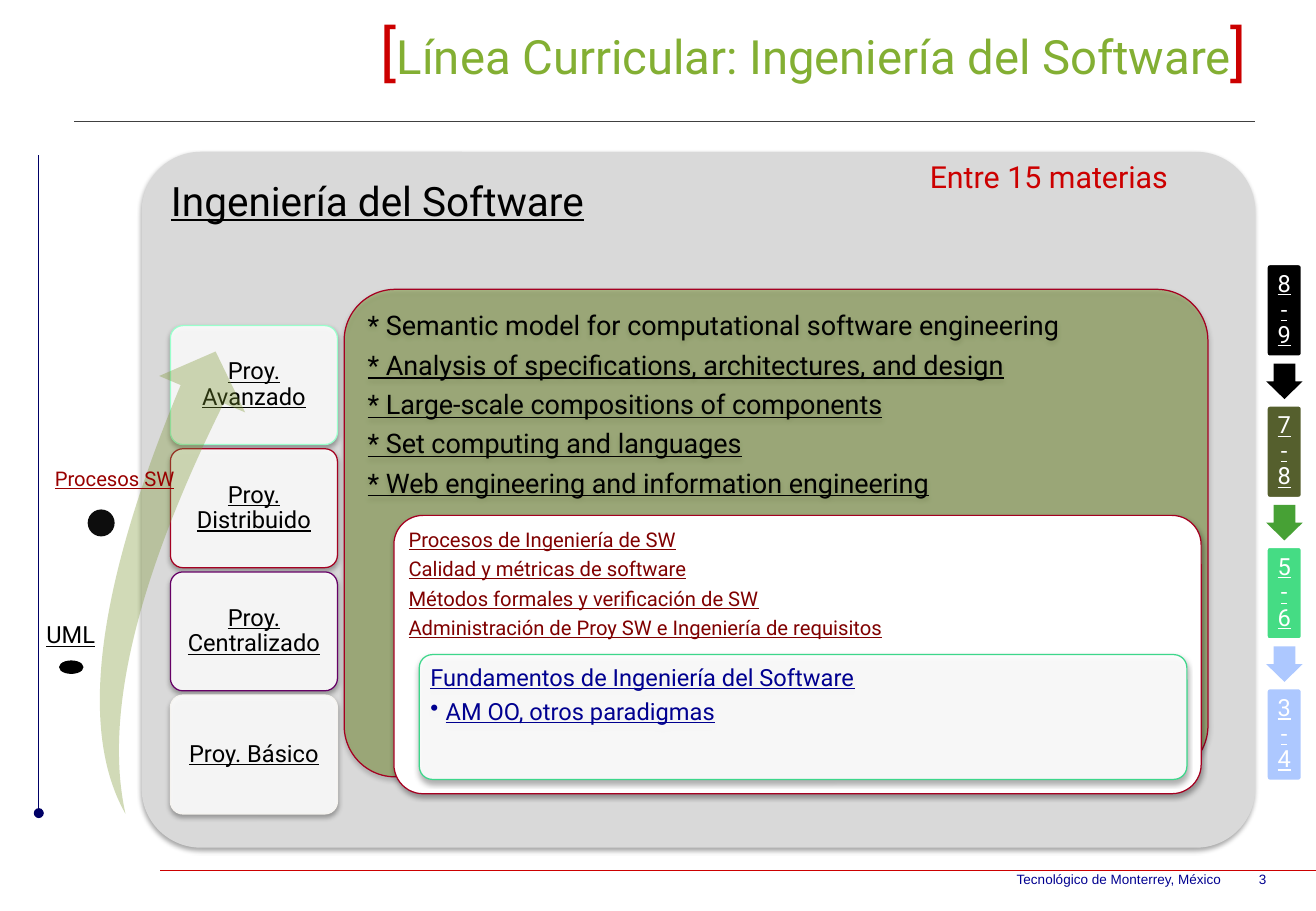
from lxml.etree import SubElement
from pptx import Presentation
from pptx.dml.color import RGBColor
from pptx.enum.shapes import MSO_CONNECTOR, MSO_SHAPE
from pptx.enum.text import MSO_ANCHOR, PP_ALIGN
from pptx.oxml.ns import qn
from pptx.util import Pt

COLORS = {
    "black": "000000", "near_black": "0D0D0D", "white": "FFFFFF", "panel": "D9D9D9",
    "red": "CC0000", "title": "83AF33", "olive": "7A952E", "crimson": "A50021",
    "mint": "99FFCC", "purple": "660066", "cream": "F5F3EF", "emerald": "3DD78B",
    "maroon": "800000", "process": "990000", "blue": "000090", "navy": "000066",
    "rule": "404040", "moss": "555F2D", "leaf": "47A135", "green": "45DC84",
    "sky": "ADC8FF",
}
LINK = {"size": Pt(14), "name": "Roboto", "underline": True}
CENTERED = {"alignment": PP_ALIGN.CENTER, "line_spacing": 0.9}
LEFT = {"alignment": PP_ALIGN.LEFT, "line_spacing": 0.9}
PROJECTS = [("Proy. Avanzado", "mint"), ("Proy. Distribuido", "crimson"),
            ("Proy. Centralizado", "purple"), ("Proy. Básico", "cream")]
SEMESTERS = [("8-9", "black", "black"), ("7-8", "moss", "leaf"),
             ("5-6", "green", "sky"), ("3-4", "sky", None)]
TOPICS = ["* Semantic model for computational software engineering",
          "* Analysis of specifications, architectures, and design",
          "* Large-scale compositions of components",
          "* Set computing and languages",
          "* Web engineering and information engineering"]
COURSES = ["Procesos de Ingeniería de SW", "Calidad y métricas de software",
           "Métodos formales y verificación de SW",
           "Administración de Proy SW e Ingeniería de requisitos"]


def rgb(name):
    return RGBColor.from_string(COLORS[name])


def apply(target, values):
    for name, value in values.items():
        setattr(target, name, value)


def set_frame(shape, insets, anchor=MSO_ANCHOR.TOP, wrap=True):
    sides = ("margin_left", "margin_top", "margin_right", "margin_bottom")
    apply(shape.text_frame, dict(zip(sides, map(Pt, insets))))
    apply(shape.text_frame, {"word_wrap": wrap, "vertical_anchor": anchor})


def write_lines(shape, lines, color, font, layout=LEFT):
    """Fill a shape with paragraphs that share one format."""
    frame = shape.text_frame
    for index, line in enumerate(lines):
        paragraph = frame.add_paragraph() if index else frame.paragraphs[0]
        apply(paragraph, layout)
        paragraph.space_after = Pt(round(font["size"].pt * 0.375, 2))
        run = paragraph.add_run()
        run.text = line
        apply(run.font, font)
        run.font.color.rgb = rgb(color)


def add_shape(slide, kind, box, fill, adjustments=(), alpha=100, line=None,
              line_width=0.75, shadow=False):
    shape = slide.shapes.add_shape(kind, *map(Pt, box))
    shape.shadow.inherit = False
    for index, value in enumerate(adjustments):
        shape.adjustments[index] = value
    shape.fill.solid()
    shape.fill.fore_color.rgb = rgb(fill)
    properties = shape._element.spPr
    if alpha < 100:
        color = properties.find(qn("a:solidFill")).find(qn("a:srgbClr"))
        SubElement(color, qn("a:alpha"), val=str(alpha * 1000))
    if line:
        shape.line.color.rgb = rgb(line)
        shape.line.width = Pt(line_width)
    else:
        shape.line.fill.background()
    if shadow:
        outer = SubElement(properties.find(qn("a:effectLst")), qn("a:outerShdw"),
                           blurRad=str(Pt(3.1)), dist=str(Pt(1.8)), dir="5400000",
                           rotWithShape="0")
        color = SubElement(outer, qn("a:srgbClr"), val=COLORS["black"])
        SubElement(color, qn("a:alpha"), val="35000")
    return shape


def add_panel(slide, box, fill, insets, radius=0.105, **options):
    panel = add_shape(slide, MSO_SHAPE.ROUNDED_RECTANGLE, box, fill, [radius],
                      shadow=True, **options)
    set_frame(panel, insets)
    return panel


def add_text(slide, box, insets, **options):
    text_box = slide.shapes.add_textbox(*map(Pt, box))
    set_frame(text_box, insets, **options)
    return text_box


def add_line(slide, ends, color, width, tail=None):
    line = slide.shapes.add_connector(MSO_CONNECTOR.STRAIGHT, *map(Pt, ends))
    line.line.color.rgb = rgb(color)
    line.line.width = Pt(width)
    if tail:
        SubElement(line.line._get_or_add_ln(), qn("a:tailEnd"), type=tail)
    SubElement(line._element.spPr, qn("a:effectLst"))


def add_frame_lines(slide):
    add_line(slide, (44, 72, 744, 72), "rule", 0.5)
    add_line(slide, (95, 516, 780, 516), "red", 0.25)
    add_line(slide, (23, 92, 23, 482), "navy", 0.75, "oval")


def add_footer(slide):
    footer = add_text(slide, (595.5, 514, 184.5, 17), (7.2, 3.6, 7.2, 3.6))
    properties = footer.text_frame.paragraphs[0]._p.get_or_add_pPr()
    tabs = SubElement(properties, qn("a:tabLst"))
    SubElement(tabs, qn("a:tab"), pos=str(Pt(143.5)), algn="l")
    write_lines(footer, ["Tecnológico de Monterrey, México\t3"], "blue",
                {"size": Pt(8), "name": "Arial"})


def add_title(slide):
    title = add_text(slide, (50, 0, 696, 60), (7.2, 3.6, 7.2, 3.6),
                     anchor=MSO_ANCHOR.MIDDLE)
    paragraph = title.text_frame.paragraphs[0]
    paragraph.alignment = PP_ALIGN.RIGHT
    for text, size, color in [("[", 36, "red"),
                              ("Línea Curricular: Ingeniería del Software", 28, "title"),
                              ("]", 36, "red")]:
        run = paragraph.add_run()
        run.text = text
        apply(run.font, {"size": Pt(size), "name": "Roboto"})
        run.font.color.rgb = rgb(color)


def add_projects(slide):
    for index, (name, line) in enumerate(PROJECTS):
        project = add_panel(slide, (101, 193 + 73 * index, 99, 70.5), "white",
                            [4.3] * 4, alpha=90, line=line)
        project.text_frame.vertical_anchor = MSO_ANCHOR.MIDDLE
        write_lines(project, [name], "black", LINK, CENTERED)


def add_nested_panels(slide):
    topics = add_panel(slide, (204, 171.5, 512, 289), "olive", [5] * 4,
                       alpha=46, line="crimson")
    topic_font = {**LINK, "size": Pt(16)}
    write_lines(topics, TOPICS, "black", topic_font)
    topics.text_frame.paragraphs[0].runs[0].font.underline = False

    courses = add_panel(slide, (233.5, 305.5, 478.5, 165), "white", [3.6] * 4,
                        line="crimson")
    write_lines(courses, COURSES, "maroon", {**LINK, "size": Pt(12)})

    basics = add_panel(slide, (248.5, 388, 455, 74), "white", [4.3] * 4,
                       alpha=90, line="emerald")
    write_lines(basics, ["Fundamentos de Ingeniería del Software",
                         "AM OO, otros paradigmas"], "blue", LINK)
    bullet = basics.text_frame.paragraphs[1]
    properties = bullet._p.get_or_add_pPr()
    apply_indent = {"lvl": "1", "marL": str(Pt(9)), "indent": str(Pt(-9))}
    for name, value in apply_indent.items():
        properties.set(name, value)
    SubElement(properties, qn("a:buChar"), char="•")
    bullet.space_after = Pt(2)


def add_growth_arrow(slide):
    swoosh = add_shape(slide, MSO_SHAPE.SWOOSH_ARROW, (-41, 285, 265, 110), "olive",
                       [0.25, 0.25], alpha=34)
    swoosh.rotation = 299.4
    for name, size, color, text_box, inset, dot, dot_color in [
            ("UML", 14, "black", (22.5, 369.5, 67, 29), 5, (35, 391.5, 14.5, 8), "black"),
            ("Procesos SW", 12, "process", (24, 278, 86, 32), 8.5, (52, 302, 16, 16),
             "near_black")]:
        add_shape(slide, MSO_SHAPE.OVAL, dot, dot_color)
        label = add_text(slide, text_box, (inset, 0, 0, 0))
        write_lines(label, [name], color, {**LINK, "size": Pt(size)})


def add_semesters(slide):
    for index, (name, fill, arrow_fill) in enumerate(SEMESTERS):
        top = 156.25 + 83.8 * index
        semester = add_shape(slide, MSO_SHAPE.ROUNDED_RECTANGLE, (750.4, top, 21.6, 55.5),
                             fill, [0.1], line="white", line_width=2)
        set_frame(semester, [4.3] * 4, anchor=MSO_ANCHOR.MIDDLE)
        write_lines(semester, [name], "white", LINK, CENTERED)
        if arrow_fill:
            arrow = add_shape(slide, MSO_SHAPE.RIGHT_ARROW, (750.8, top + 59, 21, 21.6),
                              arrow_fill, [0.6, 0.5])
            arrow.rotation = 90


def main():
    presentation = Presentation()
    apply(presentation, {"slide_width": Pt(780), "slide_height": Pt(540)})
    slide = presentation.slides.add_slide(presentation.slide_layouts[6])
    add_frame_lines(slide)
    add_footer(slide)
    add_title(slide)
    area = add_panel(slide, (84, 90, 660, 412.5), "panel", [7.2] * 4, radius=0.085)
    write_lines(area, ["Ingeniería del Software"], "black", {**LINK, "size": Pt(24)})
    add_projects(slide)
    add_nested_panels(slide)
    add_growth_arrow(slide)
    count = add_text(slide, (543, 90, 157.5, 29), (7.2, 3.6, 7.2, 3.6), wrap=False)
    write_lines(count, ["Entre 15 materias"], "red",
                {"size": Pt(18), "name": "Roboto"}, {"alignment": PP_ALIGN.CENTER})
    add_semesters(slide)
    presentation.save("out.pptx")


if __name__ == "__main__":
    main()
